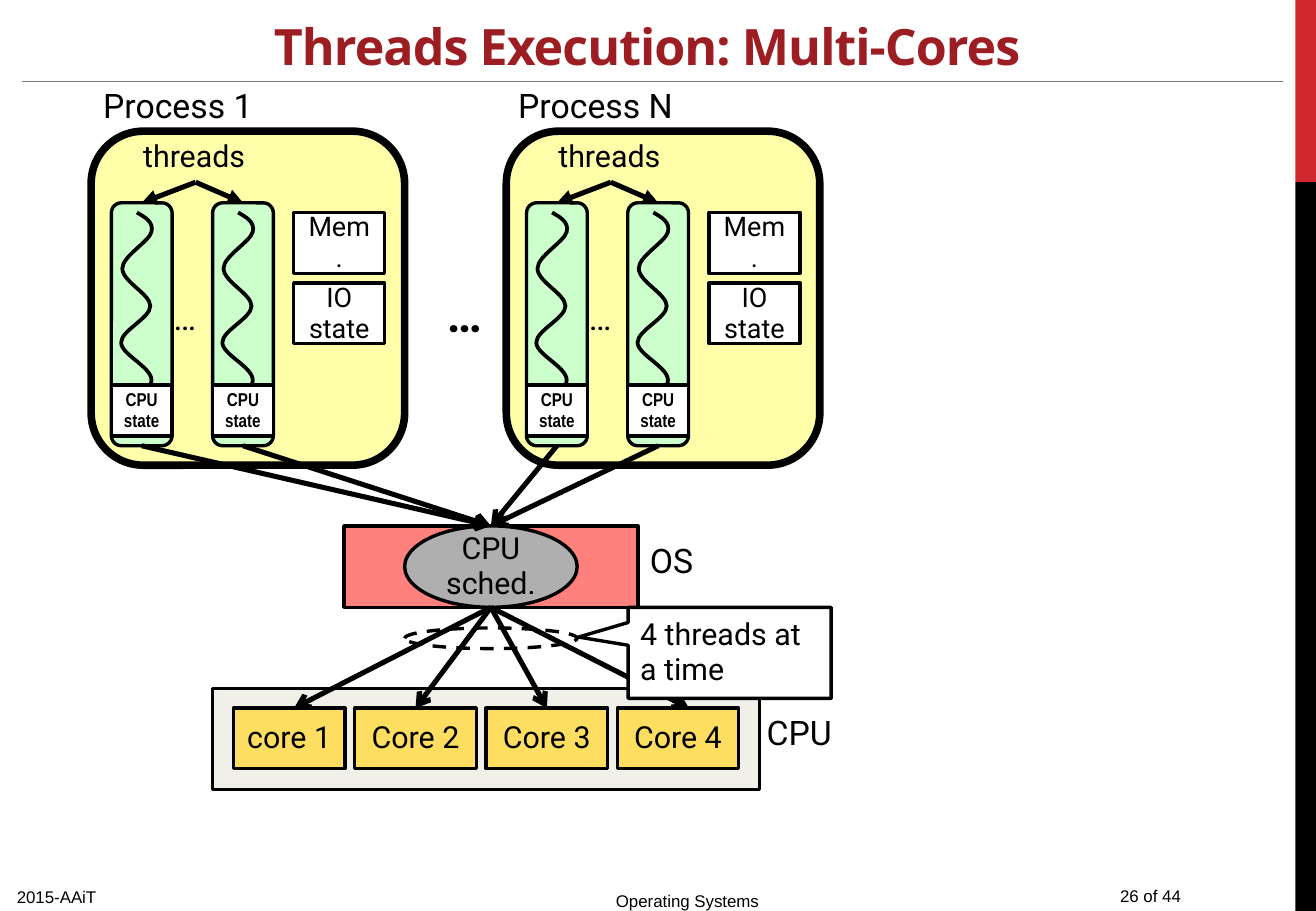
from dataclasses import dataclass

from lxml.etree import SubElement
from pptx import Presentation
from pptx.dml.color import RGBColor
from pptx.enum.dml import MSO_LINE
from pptx.enum.shapes import MSO_CONNECTOR, MSO_SHAPE
from pptx.enum.text import MSO_ANCHOR as Anchor, MSO_AUTO_SIZE, PP_ALIGN as Align
from pptx.oxml.ns import qn
from pptx.shapes.autoshape import Shape
from pptx.shapes.group import GroupShape
from pptx.slide import Slide
from pptx.text.text import TextFrame
from pptx.util import Inches, Pt

BLACK = RGBColor(0x00, 0x00, 0x00)
WHITE = RGBColor(0xFF, 0xFF, 0xFF)
RED = RGBColor(0xD1, 0x28, 0x2E)
TITLE_RED = RGBColor(0x9D, 0x1E, 0x22)
RULE_GRAY = RGBColor(0x77, 0x77, 0x77)
CPU_GRAY = RGBColor(0xF0, 0xF0, 0xE9)
OS_PINK = RGBColor(0xFF, 0x81, 0x7E)
SCHED_GRAY = RGBColor(0xAF, 0xAF, 0xAF)
PROCESS_YELLOW = RGBColor(0xFF, 0xFF, 0xAA)
THREAD_GREEN = RGBColor(0xCC, 0xFF, 0xCC)
CORE_GOLD = RGBColor(0xFE, 0xDE, 0x61)

Point = tuple[float, float]
Canvas = Slide | GroupShape
SCHED_TOP: Point = (4.04, 4.33)
SCHED_BOTTOM: Point = (4.04, 5)
THREAD_OFFSETS = (1 / 6, 1)
SQUIGGLE_LEFT, SQUIGGLE_TOP = 0.08, 1.75
SQUIGGLE_START: Point = (0.21, 1.75)
SQUIGGLE_CURVES: list[tuple[Point, Point, Point]] = [
    ((0.28, 1.79), (0.35, 1.83), (0.33, 1.91)),
    ((0.31, 1.99), (0.09, 2.11), (0.09, 2.21)),
    ((0.09, 2.32), (0.32, 2.42), (0.32, 2.52)),
    ((0.32, 2.62), (0.08, 2.72), (0.08, 2.82)),
    ((0.08, 2.92), (0.33, 3.02), (0.33, 3.13)),
    ((0.33, 3.23), (0.11, 3.36), (0.09, 3.44)),
    ((0.07, 3.51), (0.21, 3.59), (0.21, 3.59)),
]


@dataclass(frozen=True)
class Box:
    left: float
    top: float
    width: float
    height: float


@dataclass(frozen=True)
class Style:
    size: float = 18
    font: str = "Roboto"
    color: RGBColor = BLACK
    bold: bool = False
    align: Align = Align.LEFT
    spacing: float | None = 0.96


@dataclass(frozen=True)
class Process:
    name: str
    left: float
    name_width: float


@dataclass(frozen=True)
class Core:
    name: str
    left: float
    width: float
    arrow_x: float


@dataclass(frozen=True)
class Footer:
    text: str
    box: Box
    anchor: Anchor
    bottom: float = 0.05


CENTERED = Style(align=Align.CENTER)
RESOURCE = Style(16, align=Align.CENTER)
CPU_STATE = Style(11, "Arial Narrow", bold=True, align=Align.CENTER)
TITLE = Style(29.7, "Noto Sans", TITLE_RED, True, Align.CENTER, None)
LABEL = Style(20)
FOOTER = Style(10, "Arial", spacing=None)

PROCESSES = [Process("Process 1", 0.75, 1.45), Process("Process N", 25 / 6, 1.5)]
CORES = [
    Core("core 1", 1.92, 0.92, 2.42),
    Core("Core 2", 2.92, 1, 3.42),
    Core("Core 3", 4, 1, 4.5),
    Core("Core 4", 5.08, 1, 5.67),
]
FOOTERS = [
    Footer("2015-AAiT", Box(0.04, 7.25, 4.06, 0.25), Anchor.TOP),
    Footer("Operating Systems", Box(4.97, 7.25, 4.06, 0.25), Anchor.BOTTOM, 0),
    Footer("26 of 44", Box(9.12, 7.25, 1.56, 0.25), Anchor.MIDDLE),
]


def write(tf: TextFrame, lines: list[str], style: Style) -> None:
    for i, line in enumerate(lines):
        p = tf.add_paragraph() if i else tf.paragraphs[0]
        p.alignment = style.align
        if style.spacing:
            p.line_spacing = style.spacing
        r = p.add_run()
        r.text = line
        r.font.size = Pt(style.size)
        r.font.name = style.font
        r.font.bold = style.bold
        r.font.color.rgb = style.color


def add_box(s: Canvas, kind: MSO_SHAPE, b: Box, fill: RGBColor | None,
            line: float = 2, lines: list[str] | None = None,
            style: Style = CENTERED) -> Shape:
    sp = s.shapes.add_shape(kind, Inches(b.left), Inches(b.top),
                            Inches(b.width), Inches(b.height))
    sp.shadow.inherit = False
    if fill is None:
        sp.fill.background()
    else:
        sp.fill.solid()
        sp.fill.fore_color.rgb = fill
    if line:
        sp.line.color.rgb = BLACK
        sp.line.width = Pt(line)
    else:
        sp.line.fill.background()
    if lines:
        sp.text_frame.word_wrap = True
        sp.text_frame.vertical_anchor = Anchor.MIDDLE
        write(sp.text_frame, lines, style)
    return sp


def add_text(s: Canvas, b: Box, text: str, style: Style,
             anchor: Anchor = Anchor.TOP, wrap: bool = False) -> TextFrame:
    sp = s.shapes.add_textbox(Inches(b.left), Inches(b.top),
                              Inches(b.width), Inches(b.height))
    tf = sp.text_frame
    tf.word_wrap = wrap
    tf.auto_size = MSO_AUTO_SIZE.NONE if wrap else MSO_AUTO_SIZE.SHAPE_TO_FIT_TEXT
    tf.vertical_anchor = anchor
    write(tf, [text], style)
    return tf


def add_line(s: Canvas, start: Point, end: Point, tail: str | None = None,
             color: RGBColor = BLACK, width: float = 3) -> None:
    c = s.shapes.add_connector(MSO_CONNECTOR.STRAIGHT, Inches(start[0]), Inches(start[1]),
                               Inches(end[0]), Inches(end[1]))
    c.line.color.rgb = color
    c.line.width = Pt(width)
    if tail:
        SubElement(c.line._get_or_add_ln(), qn("a:tailEnd"), type=tail)
    SubElement(c._element.spPr, qn("a:effectLst"))


def add_squiggle(s: Canvas, left: float) -> None:
    ends = [SQUIGGLE_START] + [curve[-1] for curve in SQUIGGLE_CURVES]
    emu = [(Inches(left + x), Inches(y)) for x, y in ends]
    fb = s.shapes.build_freeform(*emu[0])
    fb.add_line_segments(emu[1:], close=False)
    sp = fb.convert_to_shape()
    for segment, curve in zip(list(sp._element.iter(qn("a:lnTo"))), SQUIGGLE_CURVES):
        segment.tag = qn("a:cubicBezTo")
        segment.remove(segment[0])
        for x, y in curve:
            SubElement(segment, qn("a:pt"), x=str(Inches(x - SQUIGGLE_LEFT)),
                       y=str(Inches(y - SQUIGGLE_TOP)))
    sp.shadow.inherit = False
    sp.fill.background()
    sp.line.color.rgb = BLACK
    sp.line.width = Pt(2.25)


def add_process(s: Slide, process: Process) -> None:
    x = process.left
    add_text(s, Box(x, 0.67, process.name_width, 0.44), process.name, LABEL)
    add_box(s, MSO_SHAPE.ROUNDED_RECTANGLE, Box(x, 1.08, 2.58, 2.75), PROCESS_YELLOW, 4.5)
    for top, lines in ((2.33, ["IO", "state"]), (1.75, ["Mem."])):
        add_box(s, MSO_SHAPE.RECTANGLE, Box(x + 5 / 3, top, 0.75, 0.5), WHITE,
                lines=lines, style=RESOURCE)
    for offset in THREAD_OFFSETS:
        thread = s.shapes.add_group_shape()
        add_box(thread, MSO_SHAPE.ROUNDED_RECTANGLE, Box(x + offset, 1.67, 0.5, 2),
                THREAD_GREEN)
        add_squiggle(thread, x + offset)
    add_text(s, Box(x + 0.58, 2.42, 0.48, 0.44), "…", LABEL)
    add_text(s, Box(x + 0.33, 1.1, 1.04, 0.4), "threads", Style())
    for offset in THREAD_OFFSETS:
        add_line(s, (x + 0.86, 1.5), (x + offset + 0.25, 1.67), "triangle")


def main() -> None:
    prs = Presentation()
    prs.slide_width, prs.slide_height = Inches(10.83), Inches(7.5)
    s = prs.slides.add_slide(prs.slide_layouts[6])

    add_box(s, MSO_SHAPE.RECTANGLE, Box(10.66, 0, 0.17, 1.5), RED, 0)
    add_box(s, MSO_SHAPE.RECTANGLE, Box(10.66, 1.5, 0.17, 6), BLACK, 0)
    add_line(s, (0.18, 0.67), (10.56, 0.67), color=RULE_GRAY, width=1)
    add_box(s, MSO_SHAPE.RECTANGLE, Box(1.75, 5.67, 4.5, 0.83), CPU_GRAY)
    title = add_text(s, Box(0.09, 0.17, 10.47, 0.5), "Threads Execution: Multi-Cores",
                     TITLE, Anchor.BOTTOM, True)
    title.paragraphs[0].runs[0].font._element.set("spc", "-60")

    add_box(s, MSO_SHAPE.RECTANGLE, Box(2.83, 4.33, 2.42, 0.67), OS_PINK)
    add_box(s, MSO_SHAPE.OVAL, Box(3.33, 4.33, 1.42, 0.67), SCHED_GRAY, lines=["CPU sched."])
    add_text(s, Box(5.25, 4.42, 0.61, 0.44), "OS", LABEL)
    for process in PROCESSES:
        add_process(s, process)
    add_text(s, Box(3.58, 2.33, 0.6, 0.57), "…", Style(28, bold=True))

    for core in CORES:
        add_box(s, MSO_SHAPE.RECTANGLE, Box(core.left, 5.83, core.width, 0.5), CORE_GOLD,
                lines=[core.name])
        add_line(s, SCHED_BOTTOM, (core.arrow_x, 5.83), "arrow")
    add_text(s, Box(6.21, 5.83, 0.79, 0.44), "CPU", LABEL)

    note = s.shapes.add_group_shape()
    ring = add_box(note, MSO_SHAPE.OVAL, Box(3.33, 5.17, 1.42, 0.17), None)
    ring.line.dash_style = MSO_LINE.DASH
    callout = add_box(note, MSO_SHAPE.RECTANGULAR_CALLOUT, Box(5.17, 5, 1.67, 0.75), WHITE,
                      lines=["4 threads at a time"], style=Style())
    callout.adjustments[0], callout.adjustments[1] = -0.745, -0.173

    for left in (p.left + offset for p in PROCESSES for offset in THREAD_OFFSETS):
        add_line(s, (left + 0.25, 3.67), SCHED_TOP, "arrow")
        add_box(s, MSO_SHAPE.RECTANGLE, Box(left, 3.17, 0.5, 0.42), WHITE,
                lines=["CPU", "state"], style=CPU_STATE)

    for footer in FOOTERS:
        tf = add_text(s, footer.box, footer.text, FOOTER, footer.anchor, True)
        tf.margin_bottom = Inches(footer.bottom)

    prs.save("out.pptx")


if __name__ == "__main__":
    main()
